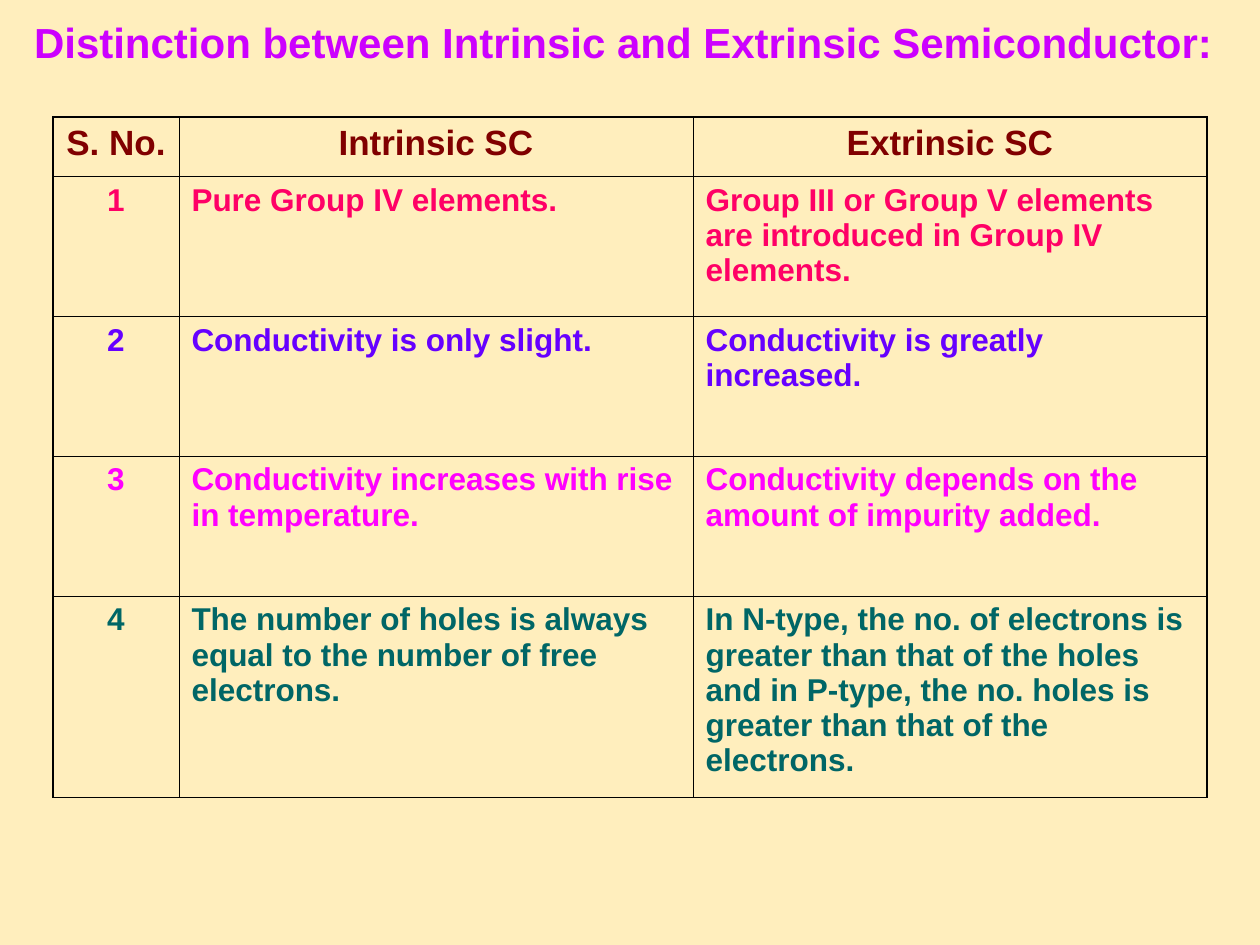
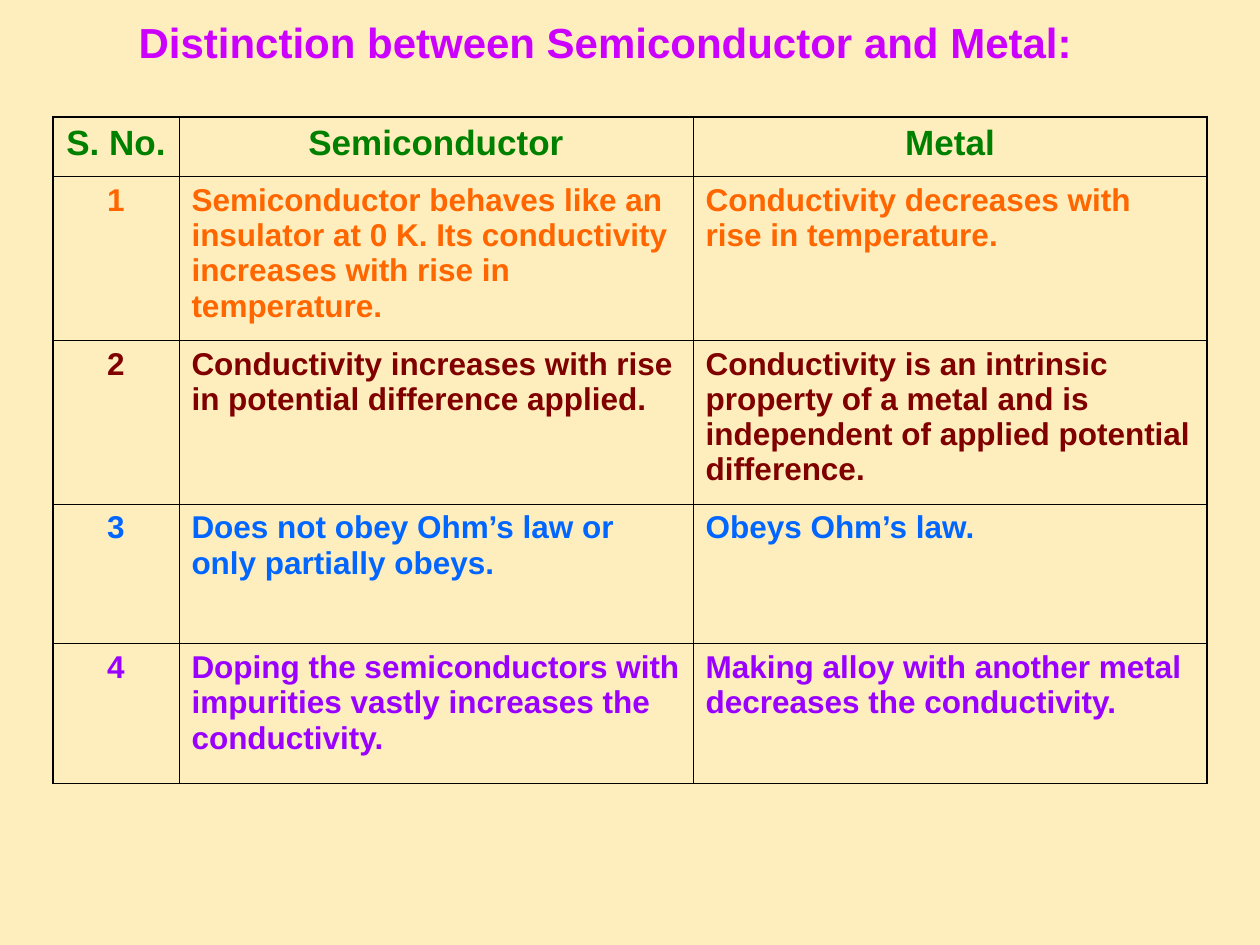
from lxml import etree
from pptx import Presentation
from pptx.dml.color import RGBColor
from pptx.enum import text
from pptx.oxml import ns
from pptx.util import Inches, Pt

COLORS = {
    "background": "FFEEBD", "title": "CC00FF", "border": "000000",
    "maroon": "800000", "rose": "FF0066", "indigo": "6600FF",
    "magenta": "FF00FF", "teal": "006666", "green": "008000",
    "orange": "FF6600", "blue": "0066FF", "violet": "9900FF",
}
FONT = "Arial"
COLUMN_WIDTHS = [1, 4.08, 4.08]
TABLE_LEFT, TABLE_TOP = 0.42, 0.93
OUTER, INNER = 1.08, 0.45


def rgb(name):
    return RGBColor.from_string(COLORS[name])


def style_paragraph(p, size, color, align):
    p.alignment = align
    p.font.name = FONT
    p.font.size = Pt(size)
    p.font.bold = True
    p.font.color.rgb = rgb(color)


def add_title(slide, box, title):
    sp = slide.shapes.title
    sp.left, sp.top, sp.width, sp.height = map(Inches, box)
    tf = sp.text_frame
    tf.text = title
    tf.word_wrap = True
    tf.auto_size = text.MSO_AUTO_SIZE.NONE
    tf.vertical_anchor = text.MSO_ANCHOR.TOP
    style_paragraph(tf.paragraphs[0], 24, "title", text.PP_ALIGN.LEFT)


def set_borders(cell, outer_sides):
    tc_pr = cell._tc.get_or_add_tcPr()
    for side in "LRTB":
        width = OUTER if side in outer_sides else INNER
        ln = etree.SubElement(tc_pr, ns.qn(f"a:ln{side}"), w=str(Pt(width)))
        fill = etree.SubElement(ln, ns.qn("a:solidFill"))
        etree.SubElement(fill, ns.qn("a:srgbClr"), val=COLORS["border"])


def add_comparison_table(slide, left, top, row_heights, rows):
    n_rows, n_cols = len(rows), len(COLUMN_WIDTHS)
    frame = slide.shapes.add_table(
        n_rows, n_cols, Inches(left), Inches(top),
        Inches(sum(COLUMN_WIDTHS)), Inches(sum(row_heights)))
    table = frame.table
    table.horz_banding = False
    table.first_row = False
    for column, width in zip(table.columns, COLUMN_WIDTHS):
        column.width = Inches(width)
    for i, (color, *entries) in enumerate(rows):
        table.rows[i].height = Inches(row_heights[i])
        for j, entry in enumerate([str(i) if i else "S. No.", *entries]):
            cell = table.cell(i, j)
            cell.text = entry
            centered = i == 0 or j == 0
            style_paragraph(
                cell.text_frame.paragraphs[0], 18 if i else 20, color,
                text.PP_ALIGN.CENTER if centered else text.PP_ALIGN.LEFT)
            edges = {"L": j == 0, "R": j == n_cols - 1,
                     "T": i == 0, "B": i == n_rows - 1}
            set_borders(cell, [side for side in edges if edges[side]])
            cell.fill.background()


def add_comparison_slide(prs, title, title_box, row_heights, rows):
    slide = prs.slides.add_slide(prs.slide_layouts.get_by_name("Title Only"))
    add_title(slide, title_box, title)
    add_comparison_table(slide, TABLE_LEFT, TABLE_TOP, row_heights, rows)


def main():
    prs = Presentation()
    prs.slide_width, prs.slide_height = Inches(10), Inches(7.5)
    fill = prs.slide_master.background.fill
    fill.solid()
    fill.fore_color.rgb = rgb("background")

    add_comparison_slide(
        prs, "Distinction between Intrinsic and Extrinsic Semiconductor:",
        (0.17, 0.08, 9.58, 0.5), [0.47, 1.11, 1.11, 1.11, 1.6], [
            ("maroon", "Intrinsic SC", "Extrinsic SC"),
            ("rose", "Pure Group IV elements.",
             "Group III or Group V elements are introduced in Group IV "
             "elements."),
            ("indigo", "Conductivity is only slight.",
             "Conductivity is greatly increased."),
            ("magenta", "Conductivity increases with rise in temperature.",
             "Conductivity depends on the amount of impurity added."),
            ("teal",
             "The number of holes is always equal to the number of free "
             "electrons.",
             "In N-type, the no. of electrons is greater than that of the "
             "holes and in P-type, the no. holes is greater than that of the "
             "electrons."),
        ])
    add_comparison_slide(
        prs, "Distinction between Semiconductor and Metal:",
        (1, 0.08, 7.67, 0.5), [0.47, 1.3, 1.3, 1.11, 1.11], [
            ("green", "Semiconductor", "Metal"),
            ("orange",
             "Semiconductor behaves like an insulator at 0 K. Its "
             "conductivity increases with rise in temperature.",
             "Conductivity decreases with rise in temperature."),
            ("maroon",
             "Conductivity increases with rise in potential difference "
             "applied.",
             "Conductivity is an intrinsic property of a metal and is "
             "independent of applied potential difference."),
            ("blue", "Does not obey Ohm’s law or only partially obeys.",
             "Obeys Ohm’s law."),
            ("violet",
             "Doping the semiconductors with impurities vastly increases the "
             "conductivity.",
             "Making alloy with another metal decreases the conductivity."),
        ])
    prs.save("out.pptx")


if __name__ == "__main__":
    main()
